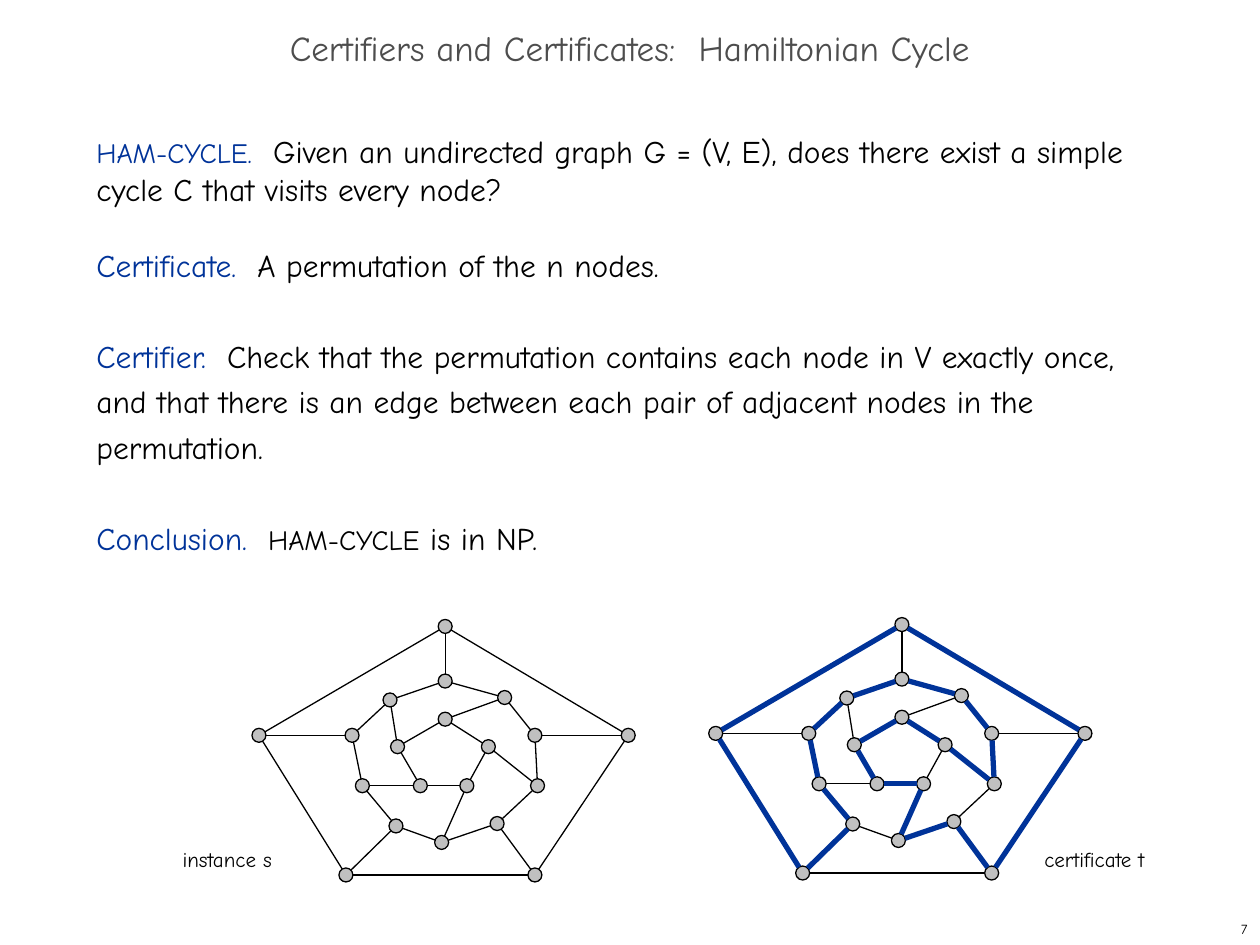
from dataclasses import dataclass
from math import hypot

from lxml import etree
from pptx import Presentation
from pptx.dml.color import RGBColor
from pptx.enum import shapes, text
from pptx.oxml import ns
from pptx.util import Pt


@dataclass(frozen=True)
class Theme:
    """Colours, font and sizes of the slide."""
    font: str = "Comic Neue"
    ink: str = "000000"
    heading: str = "4D4D4D"
    accent: str = "003399"
    node: str = "C0C0C0"
    title_size: float = 20
    body_size: float = 18
    caps_size: float = 16
    label_size: float = 12
    number_size: float = 8
    thin: float = 0.75
    thick: float = 3


THEME = Theme()
RADIUS = 4
OUTER = [(254.4, 358), (359, 420.2), (305.7, 500), (197.7, 500), (148, 420.2)]
RING = [(254.4, 389.2), (288.4, 398.6), (305.7, 420.2), (307.2, 449), (284.1, 470.6),
        (252.4, 481.4), (226.3, 472), (207.1, 449), (201.2, 420.2), (222.9, 400)]
INNER = [(254.4, 411), (279.1, 426.7), (266.8, 449), (240.2, 449), (227.2, 426.7)]
NODES = {f"{orbit}{i}": point
         for orbit, points in (("o", OUTER), ("r", RING), ("i", INNER))
         for i, point in enumerate(points)}
TOUR = "o0 o1 o2 r4 r5 i2 i3 i4 i0 i1 r3 r2 r1 r0 r9 r8 r7 r6 o3 o4".split()


def cycle(names):
    """Pair each node with the next, closing the loop."""
    return list(zip(names, names[1:] + names[:1]))


def graph_edges():
    """Return the three loops and the spokes that join them."""
    loops = [edge for orbit, count in (("o", 5), ("r", 10), ("i", 5))
             for edge in cycle([f"{orbit}{i}" for i in range(count)])]
    spokes = [edge for i in range(5)
              for edge in ((f"o{i}", f"r{2 * i}"), (f"i{i}", f"r{2 * i + 1}"))]
    return loops + spokes


def add_text(slide, box, paragraphs, size=THEME.body_size, color=THEME.ink,
             align=None, anchor=text.MSO_ANCHOR.TOP, wrap=True, grow=False):
    """Add a text box of (runs, spacing) paragraphs; a run is (words, format)."""
    area = slide.shapes.add_textbox(*map(Pt, box))
    frame = area.text_frame
    frame.word_wrap = wrap
    frame.vertical_anchor = anchor
    if grow:
        frame.auto_size = text.MSO_AUTO_SIZE.SHAPE_TO_FIT_TEXT
    for i, (runs, spacing) in enumerate(paragraphs):
        paragraph = frame.paragraphs[0] if i == 0 else frame.add_paragraph()
        paragraph.alignment = align
        for name, value in spacing.items():
            setattr(paragraph, name, value)
        for words, style in runs:
            run = paragraph.add_run()
            run.text = words
            run.font.name = THEME.font
            run.font.size = Pt(style.get("size", size))
            run.font.color.rgb = RGBColor.from_string(style.get("color", color))


def add_edge(parent, start, end, color, width):
    """Draw a line between the rims of two nodes."""
    (x1, y1), (x2, y2) = start, end
    length = hypot(x2 - x1, y2 - y1)
    dx, dy = RADIUS * (x2 - x1) / length, RADIUS * (y2 - y1) / length
    edge = parent.shapes.add_connector(
        shapes.MSO_CONNECTOR.STRAIGHT,
        Pt(x1 + dx), Pt(y1 + dy), Pt(x2 - dx), Pt(y2 - dy))
    edge.line.color.rgb = RGBColor.from_string(color)
    edge.line.width = Pt(width)
    etree.SubElement(edge._element.spPr, ns.qn("a:effectLst"))


def add_node(slide, center):
    """Draw one graph node around its centre."""
    x, y = center
    node = slide.shapes.add_shape(
        shapes.MSO_SHAPE.OVAL, Pt(x - RADIUS), Pt(y - RADIUS), Pt(2 * RADIUS), Pt(2 * RADIUS))
    node.shadow.inherit = False
    node.fill.solid()
    node.fill.fore_color.rgb = RGBColor.from_string(THEME.node)
    node.line.color.rgb = RGBColor.from_string(THEME.ink)
    node.line.width = Pt(THEME.thin)


def add_graph(slide, dx=0, dy=0, tour=()):
    """Draw the shifted graph and highlight a tour through it."""
    centers = {name: (x + dx, y + dy) for name, (x, y) in NODES.items()}
    for a, b in graph_edges():
        add_edge(slide, centers[a], centers[b], THEME.ink, THEME.thin)
    for center in centers.values():
        add_node(slide, center)
    if tour:
        highlight = slide.shapes.add_group_shape()
        for a, b in cycle(tour):
            add_edge(highlight, centers[a], centers[b], THEME.accent, THEME.thick)


def add_body(slide):
    """Add the definition, certificate, certifier and conclusion."""
    term = {"color": THEME.accent}
    caps = {"size": THEME.caps_size}
    loose = {"line_spacing": Pt(26), "space_before": Pt(26)}
    add_text(slide, (48, 72, 618, 420), [
        ([("HAM-CYCLE.", {**term, **caps}), ("  ", term),
          ("Given an undirected graph G = (V, E), does there exist a simple "
           "cycle C that visits every node?", {})], {}),
        ([("Certificate.  ", term), ("A permutation of the n nodes.", {})],
         {"space_before": Pt(21.7)}),
        ([("Certifier.  ", term),
          ("Check that the permutation contains each node in V exactly once, "
           "and that there is an edge between each pair of adjacent nodes in the "
           "permutation.", {})], loose),
        ([("Conclusion.  ", term), ("HAM-CYCLE", caps), (" is in NP.", {})], loose),
    ])


def main():
    """Build and save the slide."""
    deck = Presentation()
    deck.slide_width, deck.slide_height = Pt(720), Pt(540)
    slide = deck.slides.add_slide(deck.slide_layouts[6])
    add_text(slide, (570, 522, 150, 18), [([("7", {})], {})], size=THEME.number_size,
             align=text.PP_ALIGN.RIGHT, anchor=text.MSO_ANCHOR.MIDDLE, wrap=False)
    add_text(slide, (0, 12, 720, 36),
             [([("Certifiers and Certificates:  Hamiltonian Cycle", {})], {"line_spacing": 0.7})],
             size=THEME.title_size, color=THEME.heading,
             align=text.PP_ALIGN.CENTER, anchor=text.MSO_ANCHOR.MIDDLE)
    add_body(slide)
    add_graph(slide)
    add_graph(slide, dx=261, dy=-1.1, tour=TOUR)
    for label, left, width in (("instance s", 97.2, 70.6), ("certificate t", 589.7, 86.4)):
        add_text(slide, (left, 480.2, width, 24.5), [([(label, {})], {})],
                 size=THEME.label_size, wrap=False, grow=True)
    deck.save("out.pptx")


if __name__ == "__main__":
    main()
